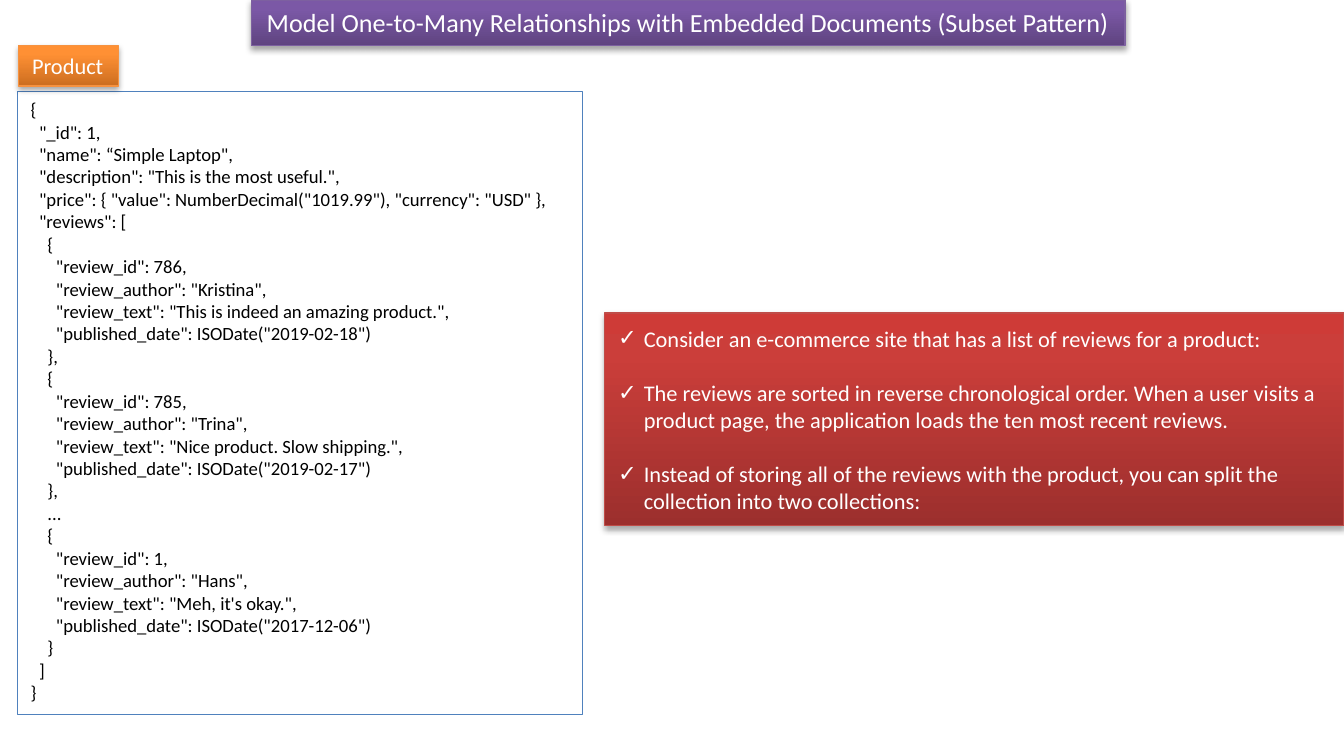
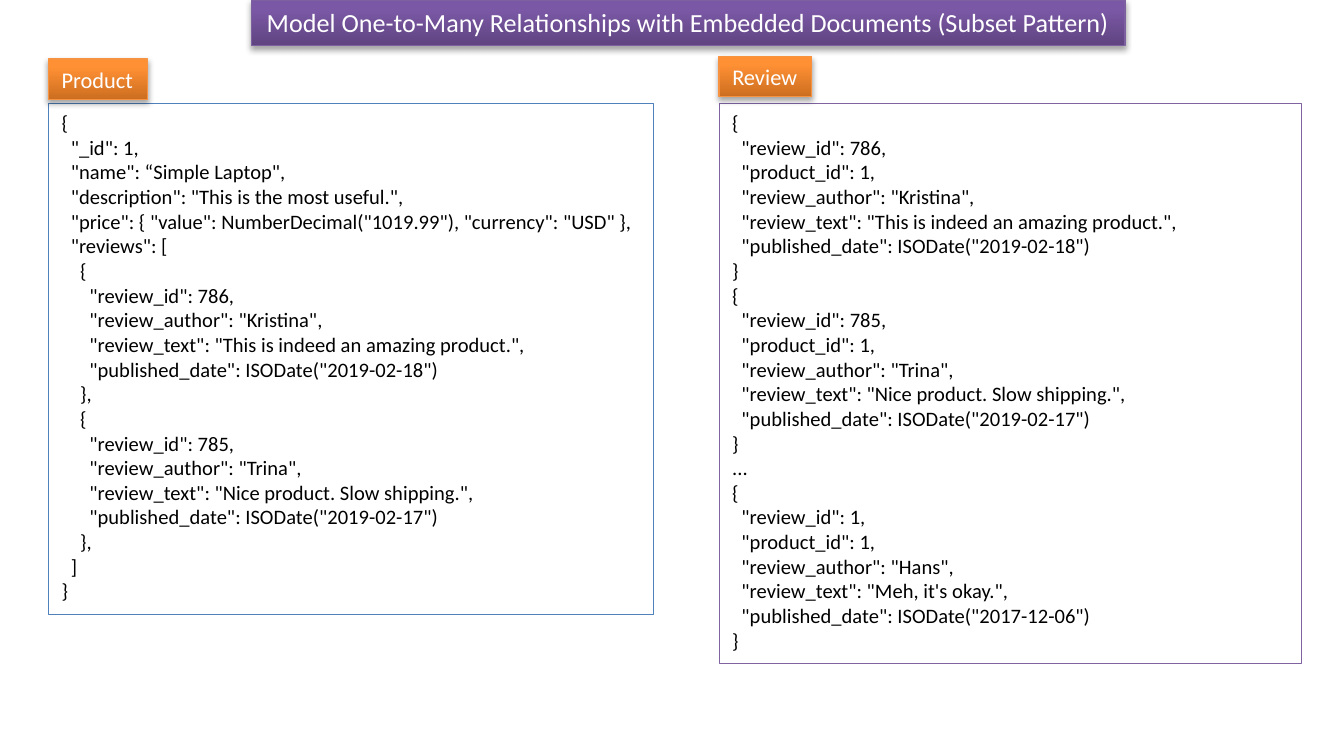
"""Build two slides on the subset pattern for one-to-many documents."""
from copy import deepcopy

from lxml import etree
from pptx import Presentation
from pptx import util as u
from pptx.dml.color import RGBColor
from pptx.enum import shapes, text
from pptx.oxml.ns import qn

WHITE = RGBColor(0xFF, 0xFF, 0xFF)
BLACK = RGBColor(0x00, 0x00, 0x00)
BLUE = RGBColor(0x4F, 0x81, 0xBD)
VIOLET = RGBColor(0x80, 0x64, 0xA2)
PURPLE_LINE = RGBColor(0x7D, 0x60, 0xA0)
PURPLE_STOPS = (RGBColor(0x5F, 0x44, 0x80), RGBColor(0x7B, 0x58, 0xA6), RGBColor(0x7C, 0x57, 0xA8))
ORANGE_LINE = RGBColor(0xF6, 0x92, 0x40)
ORANGE_STOPS = (RGBColor(0xCC, 0x6E, 0x20), RGBColor(0xFF, 0x90, 0x34), RGBColor(0xFF, 0x91, 0x36))
RED_LINE = RGBColor(0xBF, 0x4C, 0x48)
RED_STOPS = (RGBColor(0x9C, 0x2F, 0x2D), RGBColor(0xCB, 0x3E, 0x3A), RGBColor(0xCE, 0x3B, 0x37))

TITLE = "Model One-to-Many Relationships with Embedded Documents (Subset Pattern)"
POINTS = [
    "Consider an e-commerce site that has a list of reviews for a product:",
    "The reviews are sorted in reverse chronological order. When a user visits a "
    "product page, the application loads the ten most recent reviews.",
    "Instead of storing all of the reviews with the product, you can split the "
    "collection into two collections:",
]
PRODUCT_HEAD = [
    '{',
    '  "_id": 1,',
    '  "name": “Simple Laptop",',
    '  "description": "This is the most useful.",',
    '  "price": { "value": NumberDecimal("1019.99"), "currency": "USD" },',
    '  "reviews": [',
]
PRODUCT_TAIL = ['  ]', '}']
KRISTINA = (786, "Kristina", "This is indeed an amazing product.", "2019-02-18")
TRINA = (785, "Trina", "Nice product. Slow shipping.", "2019-02-17")
HANS = (1, "Hans", "Meh, it's okay.", "2017-12-06")


def review_code(review, indent="", product=False, end="}"):
    """Return the code lines of one review document."""
    number, author, comment, date = review
    fields = [f'  "review_id": {number},']
    if product:
        fields.append('  "product_id": 1,')
    fields += [
        f'  "review_author": "{author}",',
        f'  "review_text": "{comment}",',
        f'  "published_date": ISODate("{date}")',
    ]
    return [indent + line for line in ["{", *fields, end]]


def write(frame, lines, size, color, align=text.PP_ALIGN.LEFT, anchor=text.MSO_ANCHOR.TOP,
          wrap=True, gap=0, bullet=None):
    """Fill a text frame with one formatted paragraph per line."""
    frame.word_wrap = wrap
    frame.auto_size = text.MSO_AUTO_SIZE.NONE
    frame.vertical_anchor = anchor
    for index, line in enumerate(lines):
        para = frame.add_paragraph() if index else frame.paragraphs[0]
        if bullet:
            properties = para._p.get_or_add_pPr()
            properties.set("marL", str(u.Inches(0.19)))
            properties.set("indent", str(u.Inches(-0.19)))
            etree.SubElement(properties, qn("a:buChar")).set("char", bullet)
        para.alignment = align
        para.space_before = u.Pt(gap if index else 0)
        span = para.add_run()
        span.text = line
        span.font.name = "Calibri"
        span.font.size = u.Pt(size)
        span.font.color.rgb = color


class Painter:
    """Hold the shared style and the slide being drawn."""

    def __init__(self, deck):
        """Keep the deck."""
        self.deck = deck
        self.page = None

    def start(self, layout):
        """Add a slide with the shared title band."""
        self.page = self.deck.slides.add_slide(self.deck.slide_layouts[layout])
        band = self.page.shapes.title
        self.place(band, 1.87, 0, 6.5, 0.34)
        self.gloss(band, PURPLE_STOPS, PURPLE_LINE)
        write(band.text_frame, [TITLE], 14, WHITE, align=text.PP_ALIGN.CENTER)

    def place(self, box, left, top, width, height):
        """Move and size a box in inches."""
        box.left, box.top = u.Inches(left), u.Inches(top)
        box.width, box.height = u.Inches(width), u.Inches(height)

    def gloss(self, box, colors, line):
        """Give a box a three-stop gradient, an outline and a soft shadow."""
        box.fill.gradient()
        stops = box._element.spPr.find(".//" + qn("a:gsLst"))
        stops.append(deepcopy(stops[-1]))
        for stop, position, color in zip(box.fill.gradient_stops, (0, 0.8, 1), colors):
            stop.position = position
            stop.color.rgb = color
        box.fill.gradient_angle = 90
        box.line.color.rgb = line
        box.line.width = u.Pt(0.75)
        box.shadow.inherit = False
        effects = box._element.spPr.find(qn("a:effectLst"))
        shadow = etree.SubElement(effects, qn("a:outerShdw"), blurRad=str(u.Pt(3.1)),
                                  dist=str(u.Pt(1.8)), dir="5400000", rotWithShape="0")
        black = etree.SubElement(shadow, qn("a:srgbClr"), val=str(BLACK))
        etree.SubElement(black, qn("a:alpha"), val="35000")

    def rectangle(self, left, top, width, height):
        """Add a plain rectangle."""
        return self.page.shapes.add_shape(
            shapes.MSO_SHAPE.RECTANGLE, *map(u.Inches, (left, top, width, height)))

    def label(self, name, left, top, width=0.74):
        """Add an orange collection label."""
        tag = self.rectangle(left, top, width, 0.3)
        self.gloss(tag, ORANGE_STOPS, ORANGE_LINE)
        write(tag.text_frame, [name], 12, WHITE, wrap=False)

    def code(self, lines, left, top, width, height, size, line=BLUE):
        """Add a white panel of code."""
        panel = self.rectangle(left, top, width, height)
        panel.shadow.inherit = False
        panel.fill.solid()
        panel.fill.fore_color.rgb = WHITE
        panel.line.color.rgb = line
        panel.line.width = u.Pt(0.25)
        write(panel.text_frame, lines, size, BLACK)

    def points(self, lines, left, top, width, height):
        """Set the body placeholder as a red checklist."""
        body = self.page.placeholders[1]
        self.place(body, left, top, width, height)
        self.gloss(body, RED_STOPS, RED_LINE)
        write(body.text_frame, lines, 12, WHITE, anchor=text.MSO_ANCHOR.MIDDLE,
              gap=14.6, bullet="✓")


def main():
    """Draw both slides and save the deck."""
    deck = Presentation()
    deck.slide_width, deck.slide_height = u.Inches(10), u.Inches(5.5)
    painter = Painter(deck)

    indent = " " * 4
    recent = [line for review in (KRISTINA, TRINA)
              for line in review_code(review, indent, end="},")]
    oldest = [indent + "...", *review_code(HANS, indent)]

    painter.start(layout=1)
    painter.code(PRODUCT_HEAD + recent + oldest + PRODUCT_TAIL, 0.13, 0.68, 4.2, 4.64, size=10)
    painter.points(POINTS, 4.5, 2.33, 5.5, 1.58)
    painter.label("Product", 0.14, 0.34)

    reviews = [
        *review_code(KRISTINA, product=True),
        *review_code(TRINA, product=True),
        "...",
        *review_code(HANS, product=True),
    ]
    painter.start(layout=5)
    painter.code(reviews, 5.35, 0.77, 4.33, 4.17, size=11, line=VIOLET)
    painter.code(PRODUCT_HEAD + recent + PRODUCT_TAIL, 0.36, 0.77, 4.5, 3.8, size=11)
    painter.label("Product", 0.36, 0.44)
    painter.label("Review", 5.35, 0.42, width=0.69)

    deck.save("out.pptx")


if __name__ == "__main__":
    main()
